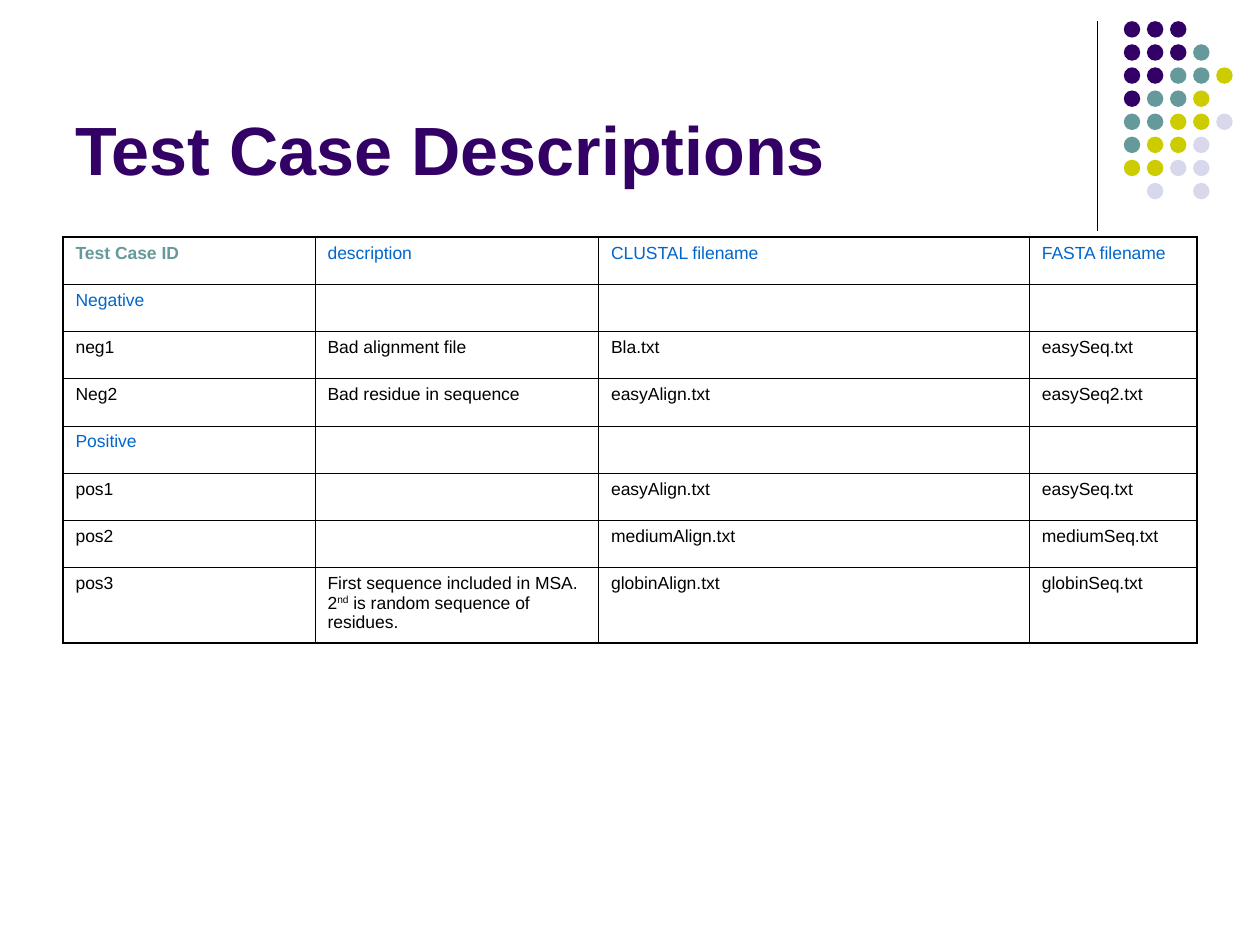
from dataclasses import dataclass

from lxml.etree import SubElement
from pptx import Presentation
from pptx.dml.color import RGBColor
from pptx.enum.shapes import MSO_CONNECTOR, MSO_SHAPE
from pptx.enum.text import MSO_ANCHOR
from pptx.oxml.ns import qn
from pptx.util import Pt


@dataclass(frozen=True)
class Theme:
    font: str = "Arial"
    title_size: float = 39
    cell_size: float = 10
    purple: str = "330066"
    teal: str = "669999"
    olive: str = "CCCC00"
    lavender: str = "D8D8EC"
    blue: str = "0066CC"
    black: str = "000000"
    outer_border: float = 1.08
    inner_border: float = 0.45


@dataclass(frozen=True)
class Span:
    text: str
    color: str
    bold: bool = False
    superscript: bool = False


@dataclass(frozen=True)
class DotGrid:
    left: float
    top: float
    pitch: float
    diameter: float
    rows: tuple[str, ...]


THEME = Theme()

DOT_COLORS = {"P": THEME.purple, "T": THEME.teal, "O": THEME.olive, "L": THEME.lavender}
CORNER_DOTS = DotGrid(642.2, 12.1, 13.2, 9.4, (
    "PPP", "PPPT", "PPTTO", "PTTO", "TTOOL", "TOOL", "OOLL", ".L.L"))

HEADERS = ("Test Case ID", "description", "CLUSTAL filename", "FASTA filename")
GROUPS = ("Negative", "Positive")
TEST_CASES = (
    ("Negative", "", "", ""),
    ("neg1", "Bad alignment file", "Bla.txt", "easySeq.txt"),
    ("Neg2", "Bad residue in sequence", "easyAlign.txt", "easySeq2.txt"),
    ("Positive", "", "", ""),
    ("pos1", "", "easyAlign.txt", "easySeq.txt"),
    ("pos2", "", "mediumAlign.txt", "mediumSeq.txt"),
    ("pos3", "First sequence included in MSA. 2^nd^ is random sequence of residues.",
     "globinAlign.txt", "globinSeq.txt"),
)
COLUMN_WIDTHS = (144, 162, 246.2, 95.8)
ROW_HEIGHTS = (27,) * 7 + (43.2,)


def add_run(paragraph, span: Span, size: float) -> None:
    run = paragraph.add_run()
    run.text = span.text
    run.font.name = THEME.font
    run.font.size = Pt(size)
    run.font.bold = span.bold
    run.font.color.rgb = RGBColor.from_string(span.color)
    if span.superscript:
        run._r.get_or_add_rPr().set("baseline", "30000")


def add_divider(slide) -> None:
    divider = slide.shapes.add_connector(
        MSO_CONNECTOR.STRAIGHT, Pt(627.1), Pt(12), Pt(627.1), Pt(132))
    divider.line.color.rgb = RGBColor.from_string(THEME.black)
    divider.line.width = Pt(0.75)
    SubElement(divider._element.spPr, qn("a:effectLst"))


def add_dots(slide, grid: DotGrid) -> None:
    for row, codes in enumerate(grid.rows):
        for column, code in enumerate(codes):
            if code not in DOT_COLORS:
                continue
            dot = slide.shapes.add_shape(
                MSO_SHAPE.OVAL,
                Pt(grid.left + column * grid.pitch), Pt(grid.top + row * grid.pitch),
                Pt(grid.diameter), Pt(grid.diameter))
            dot.shadow.inherit = False
            dot.fill.solid()
            dot.fill.fore_color.rgb = RGBColor.from_string(DOT_COLORS[code])
            dot.line.fill.background()


def add_title(slide, title: str) -> None:
    heading = slide.shapes.add_textbox(Pt(36), Pt(9.4), Pt(594), Pt(102.2)).text_frame
    heading.word_wrap = True
    heading.vertical_anchor = MSO_ANCHOR.BOTTOM
    add_run(heading.paragraphs[0], Span(title, THEME.purple, bold=True), THEME.title_size)


def cell_spans(text: str, row: int, column: int) -> list[Span]:
    """Style a cell's text by its role; ^ marks toggle superscript."""
    if row == 0 and column == 0:
        return [Span(text, THEME.teal, bold=True)]
    color = THEME.blue if row == 0 or text in GROUPS else THEME.black
    return [Span(part, color, superscript=index % 2 == 1)
            for index, part in enumerate(text.split("^")) if part]


def set_border(cell, side: str, width: float) -> None:
    border = SubElement(cell._tc.get_or_add_tcPr(), qn(f"a:ln{side}"), w=str(Pt(width)))
    fill = SubElement(border, qn("a:solidFill"))
    SubElement(fill, qn("a:srgbClr"), val=THEME.black)


def fill_cell(cell, spans: list[Span]) -> None:
    paragraph = cell.text_frame.paragraphs[0]
    paragraph.space_before = Pt(2.5)
    for span in spans:
        add_run(paragraph, span, THEME.cell_size)
    if not spans:  # keeps empty cells from stretching their row
        SubElement(paragraph._p, qn("a:endParaRPr"), sz=str(int(THEME.cell_size * 100)))


def add_case_table(slide) -> None:
    records = (HEADERS, *TEST_CASES)
    last_row, last_column = len(records) - 1, len(HEADERS) - 1
    table = slide.shapes.add_table(
        len(records), len(HEADERS), Pt(36), Pt(135.4),
        Pt(sum(COLUMN_WIDTHS)), Pt(sum(ROW_HEIGHTS))).table
    table.first_row = table.horz_banding = False
    for column, width in zip(table.columns, COLUMN_WIDTHS):
        column.width = Pt(width)
    for row, height in zip(table.rows, ROW_HEIGHTS):
        row.height = Pt(height)

    for row, record in enumerate(records):
        for column, text in enumerate(record):
            cell = table.cell(row, column)
            fill_cell(cell, cell_spans(text, row, column))
            outer_sides = {"L": column == 0, "R": column == last_column,
                           "T": row == 0, "B": row == last_row}
            for side, is_outer in outer_sides.items():
                set_border(cell, side, THEME.outer_border if is_outer else THEME.inner_border)
            cell.fill.background()


def main() -> None:
    presentation = Presentation()
    presentation.slide_width, presentation.slide_height = Pt(720), Pt(540)
    slide = presentation.slides.add_slide(presentation.slide_layouts[6])

    # Corner decoration
    add_divider(slide)
    add_dots(slide, CORNER_DOTS)

    # Content
    add_title(slide, "Test Case Descriptions")
    add_case_table(slide)

    presentation.save("out.pptx")


if __name__ == "__main__":
    main()
